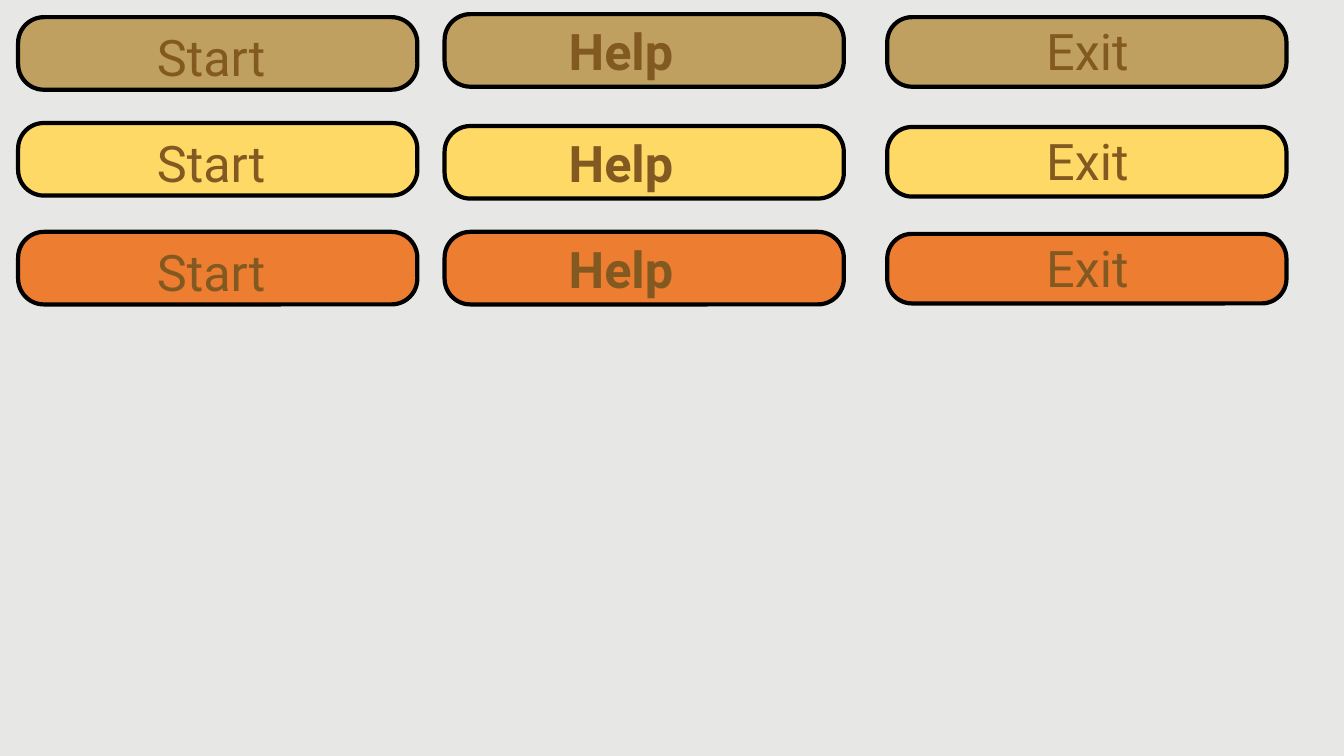
from dataclasses import dataclass

from pptx import Presentation
from pptx.dml.color import RGBColor
from pptx.enum.shapes import MSO_SHAPE
from pptx.enum.text import MSO_AUTO_SIZE, PP_ALIGN
from pptx.util import Inches, Pt

ROUNDED = MSO_SHAPE.ROUNDED_RECTANGLE
CENTER = PP_ALIGN.CENTER
GROW = MSO_AUTO_SIZE.SHAPE_TO_FIT_TEXT

COLORS = {
    "background": "E7E7E5",
    "outline": "000000",
    "label": "835922",
}
STATE_FILLS = ["BFA060", "FFD966", "ED7D31"]
FONT = "Roboto"
BUTTON_WIDTH = 3.96


@dataclass
class ButtonColumn:
    """One button in its three states; label offsets are from the button's corner."""
    runs: list  # (text, size, bold)
    left: float
    tops: list
    height: float
    label_left: float
    label_top: float
    label_width: float
    label_height: float


COLUMNS = [
    ButtonColumn([("Start", 36, False)], 0.18, [0.17, 1.22, 2.3], 0.72,
                 0.46, 0.04, 2.91, 0.71),
    ButtonColumn([("Help", 36, True), ("\t", 28, True)], 4.41, [0.14, 1.25, 2.3], 0.72,
                 0.34, 0.01, 3.28, 0.71),
    ButtonColumn([("Exit", 36, False)], 8.8, [0.17, 1.26, 2.32], 0.69,
                 0.53, -0.02, 2.91, 0.72),
]


def rgb(name):
    return RGBColor.from_string(COLORS[name])


def set_background(slide):
    fill = slide.background.fill
    fill.solid()
    fill.fore_color.rgb = rgb("background")


def add_plate(shapes, left, top, height, fill_hex):
    plate = shapes.add_shape(ROUNDED, Inches(left), Inches(top),
                             Inches(BUTTON_WIDTH), Inches(height))
    plate.adjustments[0] = 0.355
    plate.shadow.inherit = False
    plate.fill.solid()
    plate.fill.fore_color.rgb = RGBColor.from_string(fill_hex)
    plate.line.color.rgb = rgb("outline")
    plate.line.width = Pt(3)


def add_label(shapes, left, top, width, height, runs):
    box = shapes.add_textbox(Inches(left), Inches(top), Inches(width), Inches(height))
    frame = box.text_frame
    frame.word_wrap = True
    frame.auto_size = GROW
    paragraph = frame.paragraphs[0]
    paragraph.alignment = CENTER
    for text, size, bold in runs:
        run = paragraph.add_run()
        run.text = text
        run.font.name = FONT
        run.font.size = Pt(size)
        run.font.bold = bold
        run.font.color.rgb = rgb("label")


def add_button(slide, column, top, fill_hex):
    shapes = slide.shapes.add_group_shape().shapes
    add_plate(shapes, column.left, top, column.height, fill_hex)
    add_label(shapes, column.left + column.label_left, top + column.label_top,
              column.label_width, column.label_height, column.runs)


def main():
    presentation = Presentation()
    presentation.slide_width = Inches(13.33)
    presentation.slide_height = Inches(7.5)
    slide = presentation.slides.add_slide(presentation.slide_layouts[6])
    set_background(slide)
    for column in COLUMNS:
        for top, fill_hex in zip(column.tops, STATE_FILLS):
            add_button(slide, column, top, fill_hex)
    presentation.save("out.pptx")


if __name__ == "__main__":
    main()
